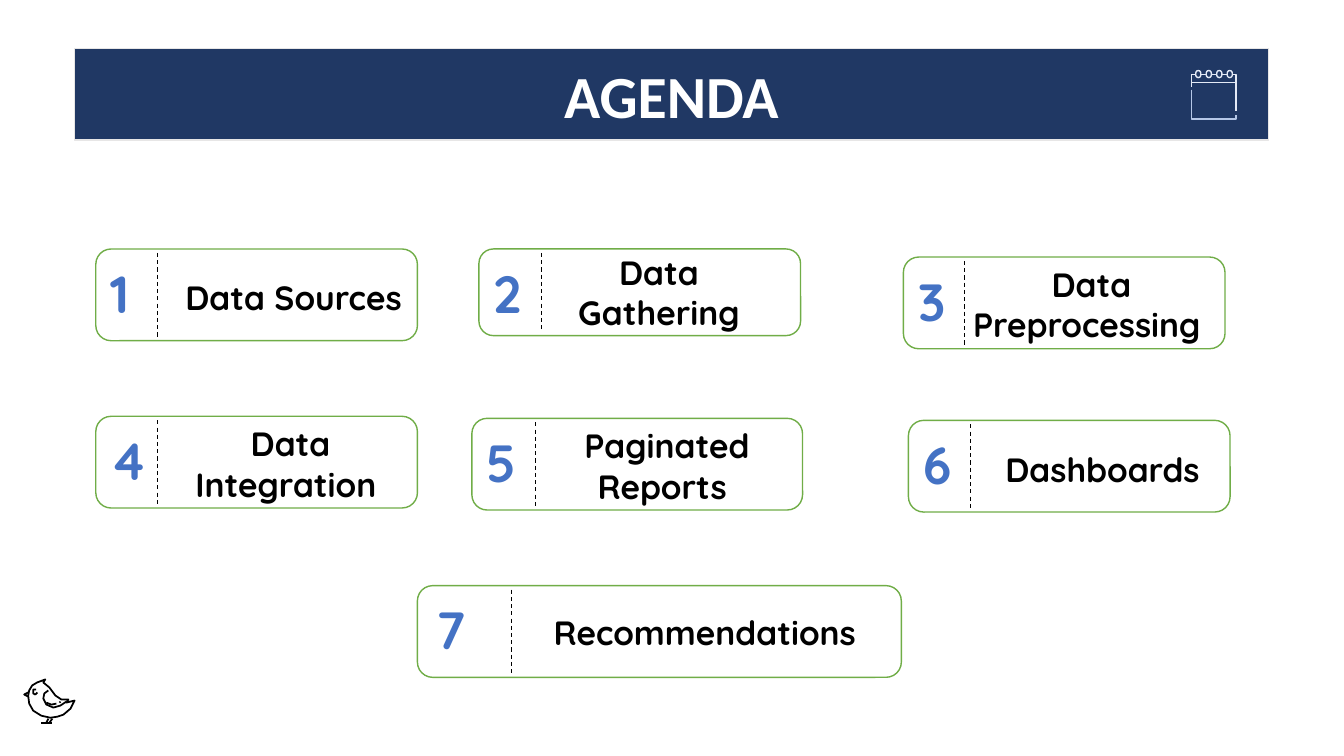
import pptx
import pptx.util
import pptx.dml.color
import pptx.enum.dml
import pptx.enum.shapes
import pptx.enum.text
import pptx.oxml.ns
import lxml.etree

Inches = pptx.util.Inches
SHAPES = pptx.enum.shapes.MSO_SHAPE

# Content: card (left, top, width, height), divider offset, label (text, left, top, width, height)
TITLE = "AGENDA"
CARDS = [
    ((0.95, 2.47, 3.19, 0.91), 0.61, (" Data Sources", 1.59, 2.70, 2.55, 0.50)),
    ((4.75, 2.47, 3.19, 0.86), 0.62, ("Data Gathering", 5.26, 2.45, 2.55, 0.87)),
    ((8.96, 2.55, 3.19, 0.91), 0.61, ("Data Preprocessing ", 9.23, 2.57, 3.19, 0.91)),
    ((0.95, 4.13, 3.19, 0.91), 0.61, (" Data Integration", 1.56, 4.15, 2.55, 0.91)),
    ((4.68, 4.15, 3.28, 0.91), 0.63, ("Paginated Reports ", 5.12, 4.17, 2.99, 0.91)),
    ((9.01, 4.17, 3.19, 0.91), 0.62, ("Dashboards", 9.66, 4.40, 2.55, 0.50)),
    ((4.14, 5.81, 4.80, 0.91), 0.93, ("Recommendations", 4.75, 6.02, 4.48, 0.50)),
]

# Icon outlines in inches
BIRD_BODY = [(0.74, 6.95), (0.70, 7.03), (0.63, 7.09), (0.57, 7.11), (0.50, 7.12),
             (0.41, 7.10), (0.33, 7.05), (0.29, 6.98), (0.28, 6.90), (0.29, 6.85),
             (0.32, 6.80), (0.37, 6.77), (0.45, 6.74), (0.43, 6.77), (0.49, 6.82),
             (0.55, 6.90), (0.61, 6.94), (0.68, 6.94), (0.66, 6.97)]
BIRD_STROKES = [
    [(0.28, 6.87), (0.24, 6.89), (0.28, 6.91)],
    [(0.48, 6.85), (0.44, 6.88), (0.43, 6.93), (0.46, 6.99), (0.53, 7.02),
     (0.60, 7.00), (0.66, 6.96)],
    [(0.46, 6.97), (0.51, 6.99), (0.56, 6.98)],
    [(0.59, 6.97), (0.60, 6.96)],
    [(0.36, 6.84), (0.33, 6.84), (0.33, 6.88), (0.35, 6.89), (0.37, 6.87)],
    [(0.48, 7.13), (0.46, 7.17)],
    [(0.52, 7.13), (0.49, 7.17)],
    [(0.41, 7.17), (0.52, 7.17)],
]
CALENDAR_TOP = [
    [(11.82, 0.86), (11.82, 0.74), (12.26, 0.74), (12.26, 1.10)],
    [(11.82, 0.82), (12.26, 0.82)],
]
CALENDAR_BOTTOM = [(11.82, 0.89), (11.82, 1.18), (12.26, 1.18), (12.26, 1.14)]

THEME = {
    "navy": "203864", "white": "FFFFFF", "grey": "E7E6E6", "green": "70AD47",
    "blue": "4472C4", "black": "000000", "icon_light": "E4EAF6", "icon_dark": "B5C7E7",
    "title_font": "Calibri", "body_font": "Quicksand",
    "title_size": 42.7, "number_size": 37.3, "label_size": 24,
}


def color(name):
    return pptx.dml.color.RGBColor.from_string(THEME[name])


def set_line(shape, name, width):
    shape.line.color.rgb = color(name)
    shape.line.width = pptx.util.Pt(width)


def add_panel(page, kind, area, fill, line, width=1):
    panel = page.shapes.add_shape(kind, *map(Inches, area))
    panel.shadow.inherit = False
    panel.fill.solid()
    panel.fill.fore_color.rgb = color(fill)
    set_line(panel, line, width)
    return panel


def write(frame, text, role, font, name, align):
    para = frame.paragraphs[0]
    para.text = text
    para.alignment = align
    para.font.name = THEME[font]
    para.font.size = pptx.util.Pt(THEME[role + "_size"])
    para.font.bold = True
    para.font.color.rgb = color(name)


def add_text(page, area, text, role, name, align):
    box = page.shapes.add_textbox(*map(Inches, area))
    box.text_frame.word_wrap = True
    box.text_frame.auto_size = pptx.enum.text.MSO_AUTO_SIZE.SHAPE_TO_FIT_TEXT
    write(box.text_frame, text, role, "body_font", name, align)


def add_divider(page, x, top, bottom):
    divider = page.shapes.add_connector(
        pptx.enum.shapes.MSO_CONNECTOR.STRAIGHT,
        Inches(x), Inches(top), Inches(x), Inches(bottom))
    set_line(divider, "black", 0.75)
    divider.line.dash_style = pptx.enum.dml.MSO_LINE.DASH
    lxml.etree.SubElement(divider._element.spPr, pptx.oxml.ns.qn("a:effectLst"))


def add_stroke(page, points, name, width, close=False):
    start, *rest = [(Inches(x), Inches(y)) for x, y in points]
    builder = page.shapes.build_freeform(*start)
    builder.add_line_segments(rest, close=close)
    stroke = builder.convert_to_shape()
    stroke.shadow.inherit = False
    stroke.fill.background()
    set_line(stroke, name, width)


def add_card(page, number, area, offset, label):
    left, top, width, height = area
    text, *label_area = label
    wide = width > 4
    add_panel(page, SHAPES.ROUNDED_RECTANGLE, area, "white", "green")
    number_area = (left + (0.09 if wide else 0.05), top + 0.07, 0.8 if wide else 0.53, 0.73)
    add_text(page, number_area, str(number), "number", "blue", pptx.enum.text.PP_ALIGN.LEFT)
    add_text(page, label_area, text, "label", "black", pptx.enum.text.PP_ALIGN.CENTER)
    add_divider(page, left + offset, top + 0.04, top + height - 0.04)


def main():
    deck = pptx.Presentation()
    deck.slide_width, deck.slide_height = Inches(13.33), Inches(7.5)
    page = deck.slides.add_slide(deck.slide_layouts[6])

    # Title band
    band = add_panel(page, SHAPES.RECTANGLE, (0.74, 0.48, 11.84, 0.91), "navy", "grey")
    band.text_frame.vertical_anchor = pptx.enum.text.MSO_ANCHOR.MIDDLE
    write(band.text_frame, TITLE, "title", "title_font", "white",
          pptx.enum.text.PP_ALIGN.CENTER)

    # Agenda cards
    for number, (area, offset, label) in enumerate(CARDS, 1):
        add_card(page, number, area, offset, label)

    # Bird icon
    add_stroke(page, BIRD_BODY, "black", 1.25, close=True)
    for points in BIRD_STROKES:
        add_stroke(page, points, "black", 1.25)

    # Calendar icon with four rings
    for points in CALENDAR_TOP:
        add_stroke(page, points, "icon_light", 1)
    add_stroke(page, CALENDAR_BOTTOM, "icon_dark", 1)
    for ring in range(4):
        area = (11.86 + 0.104 * ring, 0.7, 0.05, 0.07)
        add_panel(page, SHAPES.ROUNDED_RECTANGLE, area, "navy", "icon_light").adjustments[0] = 0.5

    deck.save("out.pptx")


if __name__ == "__main__":
    main()
